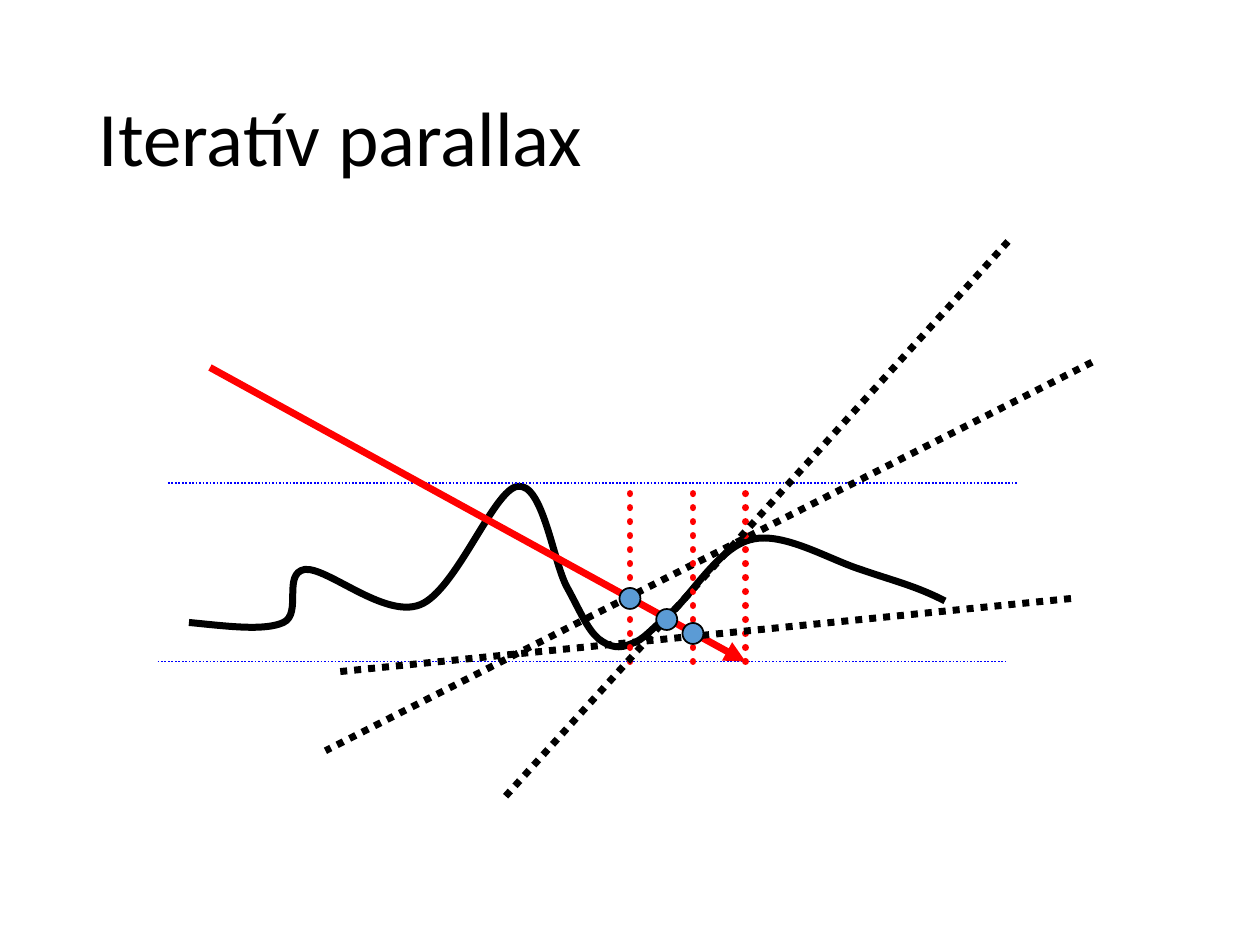
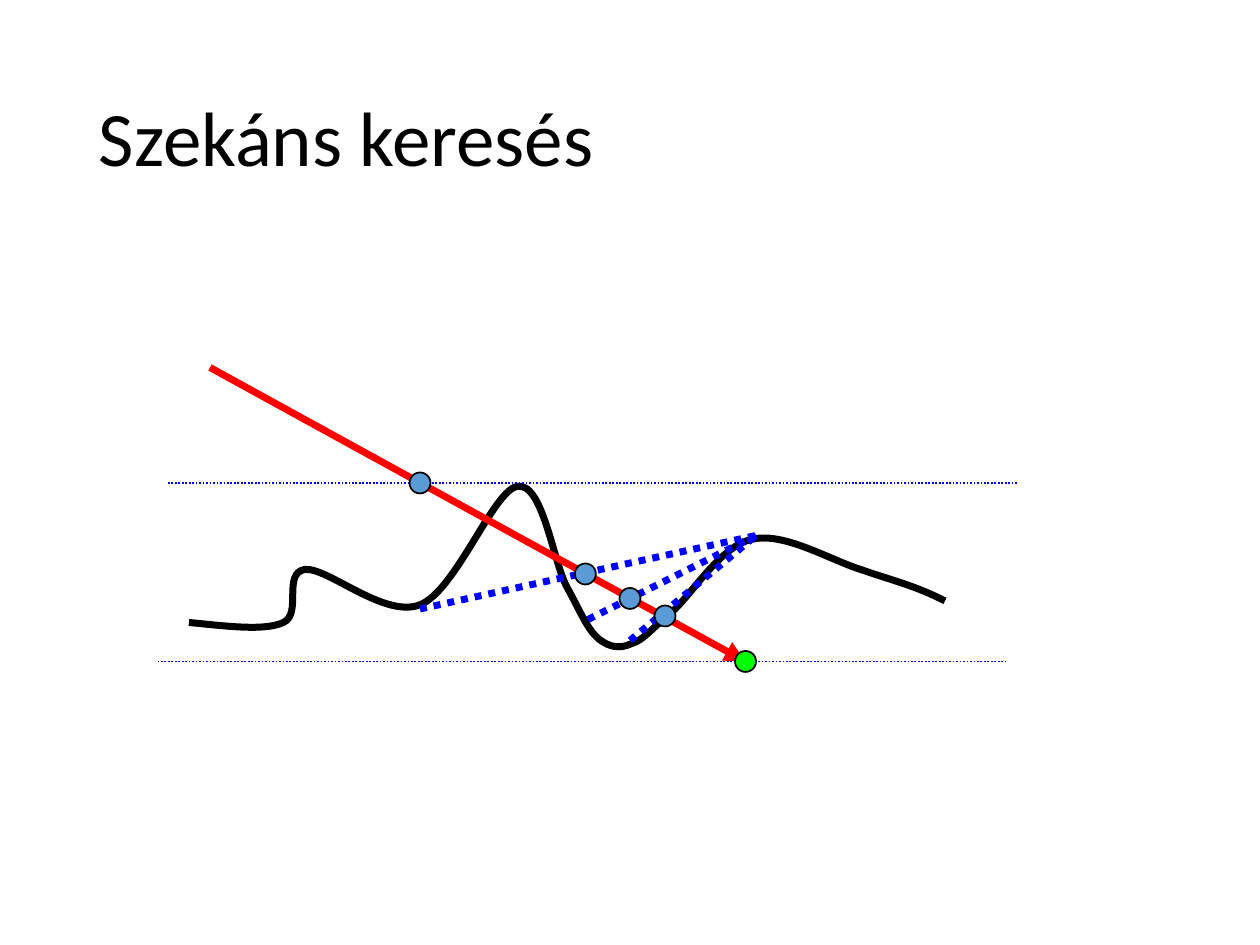
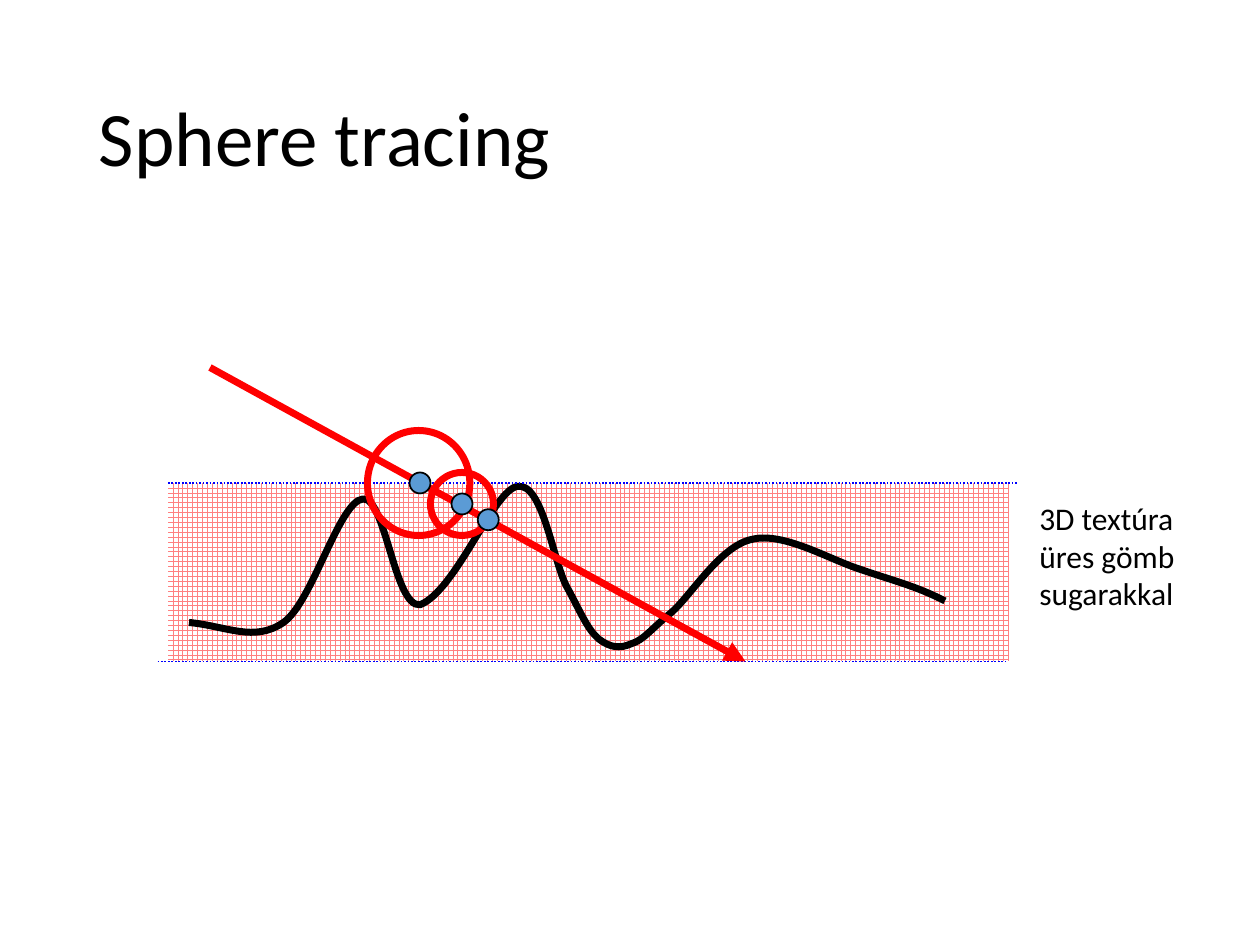
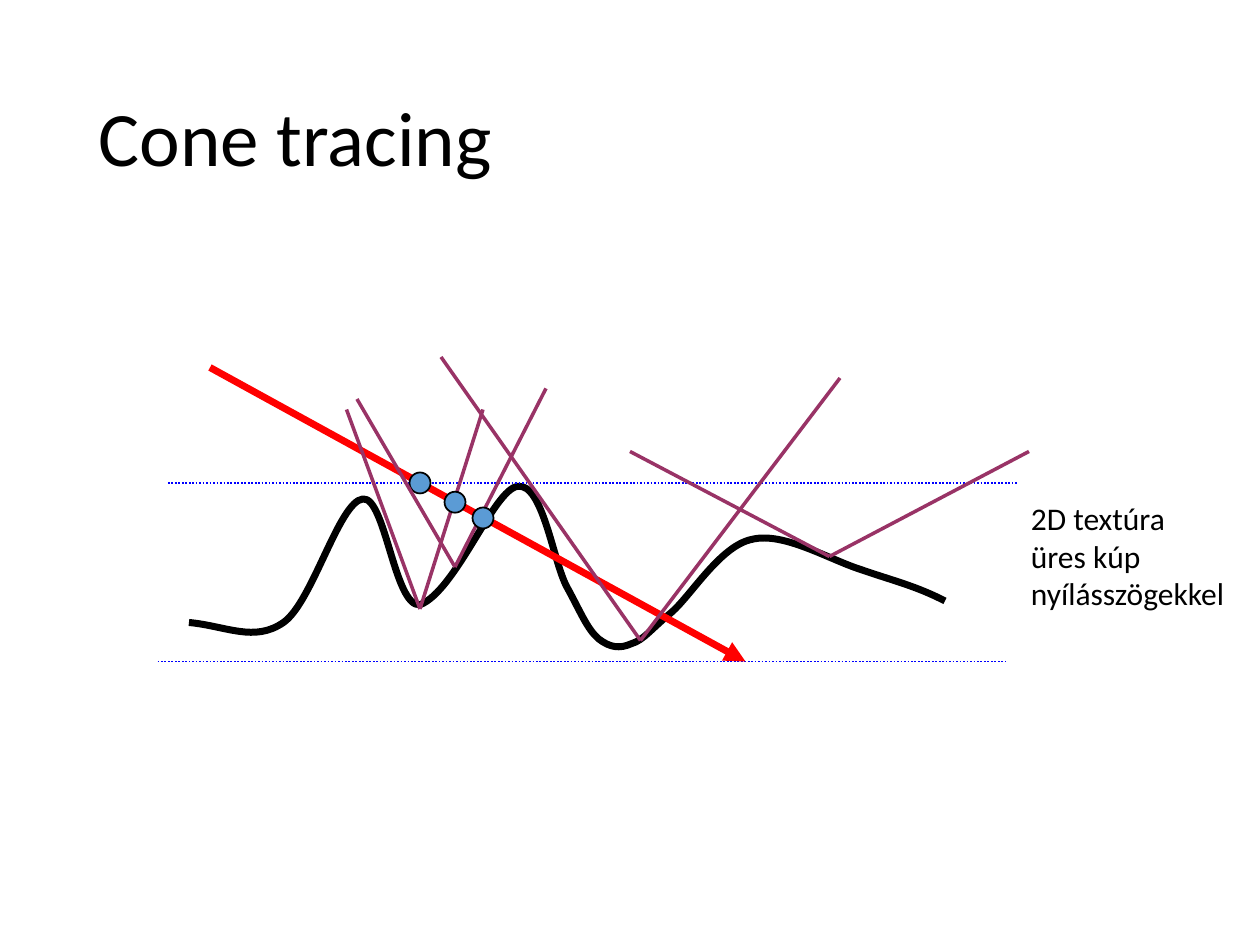
from dataclasses import dataclass
from typing import NamedTuple

from lxml import etree
from pptx import Presentation
from pptx.dml.color import RGBColor
from pptx.dml.line import LineFormat
from pptx.enum.dml import MSO_LINE, MSO_PATTERN
from pptx.enum.shapes import MSO_CONNECTOR, MSO_SHAPE
from pptx.enum.text import MSO_ANCHOR, MSO_AUTO_SIZE
from pptx.oxml.ns import qn
from pptx.slide import Slide
from pptx.text.text import TextFrame
from pptx.util import Pt

STRAIGHT = MSO_CONNECTOR.STRAIGHT
ELLIPSE = MSO_SHAPE.OVAL
RECTANGLE = MSO_SHAPE.RECTANGLE
DOTTED = MSO_LINE.ROUND_DOT
LARGE_GRID = MSO_PATTERN.LARGE_GRID
MIDDLE = MSO_ANCHOR.MIDDLE
GROW_TO_TEXT = MSO_AUTO_SIZE.SHAPE_TO_FIT_TEXT


@dataclass(frozen=True)
class Theme:
    font: str = "Calibri"
    title_size: float = 44
    label_size: float = 18
    thin: float = 1
    medium: float = 2
    thick: float = 4
    black: RGBColor = RGBColor(0x00, 0x00, 0x00)
    white: RGBColor = RGBColor(0xFF, 0xFF, 0xFF)
    red: RGBColor = RGBColor(0xFF, 0x00, 0x00)
    blue: RGBColor = RGBColor(0x00, 0x00, 0xFF)
    green: RGBColor = RGBColor(0x00, 0xFF, 0x00)
    sample: RGBColor = RGBColor(0x5B, 0x9B, 0xD5)
    cone: RGBColor = RGBColor(0x99, 0x33, 0x66)
    texel: RGBColor = RGBColor(0xFF, 0x80, 0x80)


THEME = Theme()


class Point(NamedTuple):
    x: float
    y: float


class Box(NamedTuple):
    left: float
    top: float
    width: float
    height: float


@dataclass(frozen=True)
class Stroke:
    color: RGBColor
    width: float
    dotted: bool = False
    round_cap: bool = False
    arrow: bool = False


@dataclass(frozen=True)
class Segment:
    start: Point
    end: Point
    stroke: Stroke


@dataclass(frozen=True)
class Disc:
    box: Box
    stroke: Stroke
    fill: RGBColor | None = None


@dataclass(frozen=True)
class Label:
    text: str
    box: Box


@dataclass(frozen=True)
class Scene:
    title: str
    relief: list[Point]
    marks: list[Segment | Disc]
    label: Label | None = None
    has_texture: bool = False


BOUND = Stroke(THEME.blue, THEME.thin, dotted=True)
RAY = Stroke(THEME.red, THEME.thick, arrow=True)
SURFACE = Stroke(THEME.black, THEME.thick)
TANGENT = Stroke(THEME.black, THEME.thick, dotted=True)
CHORD = Stroke(THEME.blue, THEME.thick, dotted=True)
DEPTH = Stroke(THEME.red, THEME.thick, dotted=True, round_cap=True)
SPHERE = Stroke(THEME.red, THEME.thick)
CONE_SIDE = Stroke(THEME.cone, THEME.medium)
SAMPLE_EDGE = Stroke(THEME.black, THEME.thin)

SLIDE_WIDTH, SLIDE_HEIGHT = 720, 540
TITLE_BOX = Box(49.5, 28.75, 621, 104.4)
RELIEF_TOP, RELIEF_BOTTOM = 276, 378
TEXTURE_BOX = Box(96, RELIEF_TOP, 480, RELIEF_BOTTOM - RELIEF_TOP)
SAMPLE_RADIUS = 6
RAY_END = Point(426, RELIEF_BOTTOM)
FRAME = [
    Segment(Point(96, RELIEF_TOP), Point(582, RELIEF_TOP), BOUND),
    Segment(Point(90, RELIEF_BOTTOM), Point(576, RELIEF_BOTTOM), BOUND),
    Segment(Point(120, 210), RAY_END, RAY),
]

# Each relief is a start point followed by Bézier triples: two controls, one knot.
RELIEF_START = [Point(108, 355.7), Point(129.6, 357.8)]
RELIEF_END = [
    Point(260.6, 337.7), Point(282.2, 279.4), Point(295.9, 277.9),
    Point(310.3, 275.8), Point(316.1, 321.1), Point(324, 335.5),
    Point(331.9, 349.9), Point(335.5, 359.3), Point(342, 365),
    Point(348.5, 370.1), Point(354.2, 370.8), Point(360.7, 367.9),
    Point(367.9, 365.8), Point(372.2, 359.3), Point(383.8, 349.9),
    Point(395.3, 339.8), Point(411.8, 311.8), Point(429.8, 308.2),
    Point(447.8, 303.8), Point(473.8, 319.7), Point(491.8, 325.4),
    Point(510.5, 331.9), Point(523.4, 334.8), Point(540, 343.4),
]
STEPPED_RELIEF = RELIEF_START + [
    Point(151.2, 360.7), Point(162, 355.7),
    Point(172.8, 350.6), Point(161.3, 327.6), Point(174.2, 325.4),
    Point(187.2, 324), Point(219.6, 353.5), Point(240, 345.6),
] + RELIEF_END
PEAKED_RELIEF = RELIEF_START + [
    Point(145.4, 367.2), Point(162, 355.7),
    Point(178.6, 344.2), Point(193.7, 286.6), Point(207.4, 285.1),
    Point(220.3, 283.7), Point(225.4, 347), Point(240, 345.6),
] + RELIEF_END


def sample(x: float, y: float, fill: RGBColor = THEME.sample) -> Disc:
    """A filled dot centred on a point of the ray."""
    size = 2 * SAMPLE_RADIUS
    return Disc(Box(x - SAMPLE_RADIUS, y - SAMPLE_RADIUS, size, size), SAMPLE_EDGE, fill)


def depth_line(x: float) -> Segment:
    return Segment(Point(x, RELIEF_BOTTOM), Point(x, RELIEF_TOP), DEPTH)


def chord(x: float, y: float) -> Segment:
    return Segment(Point(x, y), Point(432, 306), CHORD)


def cone(apex: Point, left: Point, right: Point) -> list[Segment]:
    return [Segment(apex, tip, CONE_SIDE) for tip in (left, right)]


SCENES = [
    Scene("Iteratív parallax", STEPPED_RELIEF, [
        depth_line(RAY_END.x),
        Segment(Point(624, 207), Point(186, 429), TANGENT),
        depth_line(360),
        Segment(Point(612, 342), Point(192, 384), TANGENT),
        depth_line(396),
        Segment(Point(576, 138), Point(288, 456), TANGENT),
        sample(360, 342), sample(396, 362), sample(381, 354),
    ]),
    Scene("Szekáns keresés", STEPPED_RELIEF, [
        sample(*RAY_END, THEME.green),
        sample(240, RELIEF_TOP),
        chord(240, 348), sample(334.5, 328),
        chord(336, 354), sample(360, 342),
        chord(360, 366), sample(380, 352),
    ]),
    Scene("Sphere tracing", PEAKED_RELIEF, [
        sample(240, RELIEF_TOP),
        Disc(Box(210, 246, 58.5, 60), SPHERE),
        Disc(Box(246, 270, 36, 36), SPHERE),
        sample(264, 288), sample(279, 297),
    ], Label("3D textúra\nüres gömb\nsugarakkal", Box(586.8, 281.5, 101.5, 72)),
        has_texture=True),
    Scene("Cone tracing", PEAKED_RELIEF, [
        sample(240, RELIEF_TOP),
        *cone(Point(366, 366), Point(252, 204), Point(480, 216)),
        *cone(Point(474, 318), Point(360, 258), Point(588, 258)),
        *cone(Point(240, 348), Point(198, 234), Point(276, 234)),
        sample(260, 287),
        *cone(Point(260, 324), Point(204, 228), Point(312, 222)),
        sample(276, 296),
    ], Label("2D textúra\nüres kúp\nnyílásszögekkel", Box(582, 281.5, 142, 72))),
]


def in_points(values: Box | Point) -> list[Pt]:
    return [Pt(value) for value in values]


def apply_stroke(line: LineFormat, stroke: Stroke) -> None:
    line.color.rgb = stroke.color
    line.width = Pt(stroke.width)
    if stroke.dotted:
        line.dash_style = DOTTED


def write(frame: TextFrame, text: str, size: float) -> None:
    frame.text = text
    for paragraph in frame.paragraphs:
        for run in paragraph.runs:
            run.font.name = THEME.font
            run.font.size = Pt(size)
            run.font.color.rgb = THEME.black


def draw_title(slide: Slide, title: str) -> None:
    frame = slide.shapes.add_textbox(*in_points(TITLE_BOX)).text_frame
    frame.word_wrap = True
    frame.vertical_anchor = MIDDLE
    write(frame, title, THEME.title_size)
    frame.paragraphs[0].line_spacing = 0.9


def draw_label(slide: Slide, label: Label) -> None:
    frame = slide.shapes.add_textbox(*in_points(label.box)).text_frame
    frame.word_wrap = False
    frame.auto_size = GROW_TO_TEXT
    write(frame, label.text, THEME.label_size)


def draw_texture(slide: Slide) -> None:
    texture = slide.shapes.add_shape(RECTANGLE, *in_points(TEXTURE_BOX))
    texture.shadow.inherit = False
    texture.fill.patterned()
    texture.fill.pattern = LARGE_GRID
    texture.fill.fore_color.rgb = THEME.texel
    texture.fill.back_color.rgb = THEME.white
    texture.line.fill.background()


def draw_relief(slide: Slide, relief: list[Point]) -> None:
    """Draws the surface, turning every three line steps into one Bézier arc."""
    start, *rest = [in_points(point) for point in relief]
    builder = slide.shapes.build_freeform(*start)
    builder.add_line_segments(rest, close=False)
    surface = builder.convert_to_shape()
    surface.shadow.inherit = False
    surface.fill.background()
    apply_stroke(surface.line, SURFACE)

    steps = list(surface.element.iter(qn("a:lnTo")))
    outline = steps[0].getparent()
    for first in range(0, len(steps), 3):
        arc = etree.SubElement(outline, qn("a:cubicBezTo"))
        for step in steps[first:first + 3]:
            arc.append(step[0])
            outline.remove(step)


def draw_segment(slide: Slide, segment: Segment) -> None:
    connector = slide.shapes.add_connector(
        STRAIGHT, *in_points(segment.start), *in_points(segment.end))
    apply_stroke(connector.line, segment.stroke)
    properties = connector.element.spPr
    outline = properties.find(qn("a:ln"))
    if segment.stroke.round_cap:
        outline.set("cap", "rnd")
    if segment.stroke.arrow:
        etree.SubElement(outline, qn("a:tailEnd"), type="triangle")
    etree.SubElement(properties, qn("a:effectLst"))


def draw_disc(slide: Slide, disc: Disc) -> None:
    circle = slide.shapes.add_shape(ELLIPSE, *in_points(disc.box))
    circle.shadow.inherit = False
    if disc.fill is None:
        circle.fill.background()
    else:
        circle.fill.solid()
        circle.fill.fore_color.rgb = disc.fill
    apply_stroke(circle.line, disc.stroke)


def draw_scene(slide: Slide, scene: Scene) -> None:
    if scene.has_texture:
        draw_texture(slide)
    draw_title(slide, scene.title)
    draw_relief(slide, scene.relief)
    for mark in FRAME + scene.marks:
        if isinstance(mark, Segment):
            draw_segment(slide, mark)
        else:
            draw_disc(slide, mark)
    if scene.label:
        draw_label(slide, scene.label)


def main() -> None:
    deck = Presentation()
    deck.slide_width, deck.slide_height = Pt(SLIDE_WIDTH), Pt(SLIDE_HEIGHT)
    blank = deck.slide_layouts[6]
    for scene in SCENES:
        draw_scene(deck.slides.add_slide(blank), scene)
    deck.save("out.pptx")


if __name__ == "__main__":
    main()
